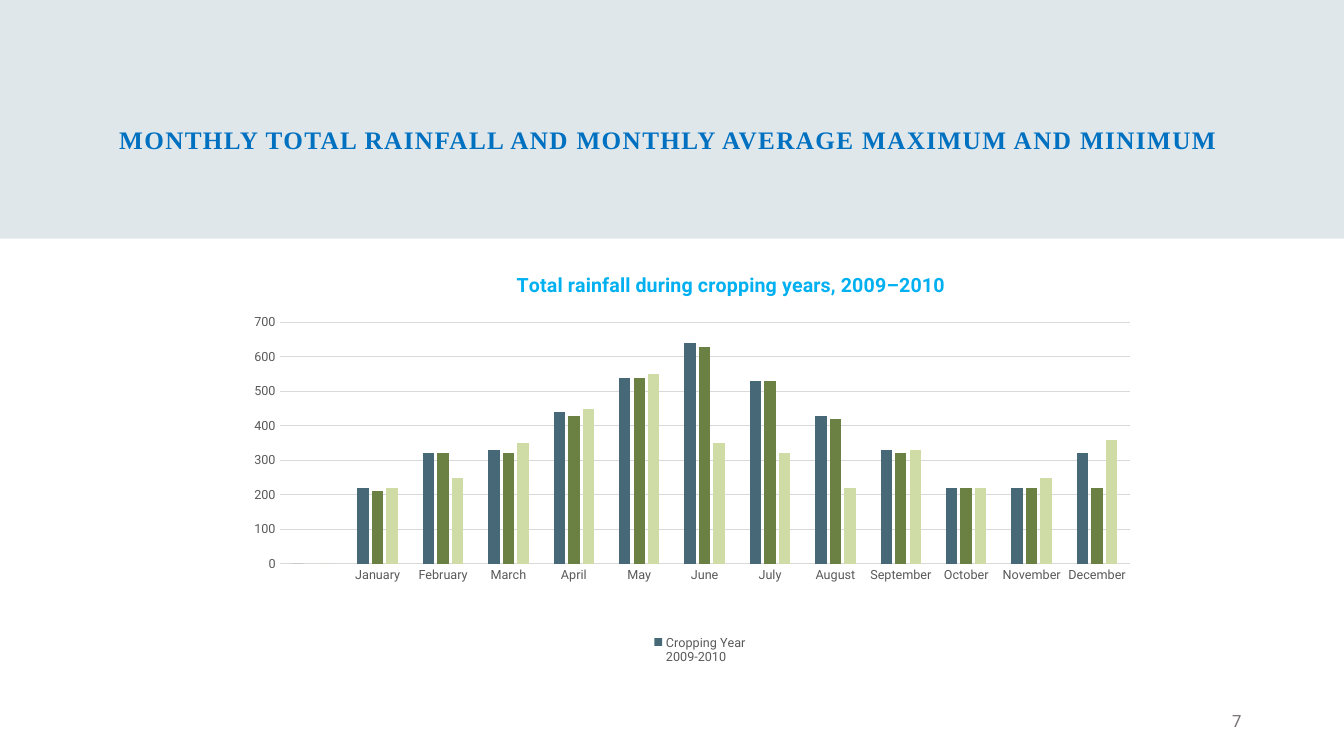
from lxml import etree
from pptx import Presentation
from pptx.chart.data import CategoryChartData as Data
from pptx.dml.color import RGBColor
from pptx.enum.chart import XL_CHART_TYPE as Kind, XL_LEGEND_POSITION as Spot, XL_TICK_MARK as Tick
from pptx.enum.shapes import MSO_SHAPE as Form
from pptx.enum.text import MSO_ANCHOR as Anchor, MSO_AUTO_SIZE as Fit, PP_ALIGN as Align
from pptx.oxml import parse_xml
from pptx.oxml.ns import nsdecls, qn
from pptx.util import Pt

BAND = RGBColor(0xD7, 0xE2, 0xE7)
BLUE = RGBColor(0x00, 0x70, 0xC0)
SKY = RGBColor(0x00, 0xB0, 0xF0)
GRAY = RGBColor(0x76, 0x71, 0x71)
TEXT = RGBColor(0x59, 0x59, 0x59)
GRID = RGBColor(0xD9, 0xD9, 0xD9)
STEEL = RGBColor(0x47, 0x69, 0x77)
OLIVE = RGBColor(0x6B, 0x80, 0x43)
LIME = RGBColor(0xCF, 0xDC, 0xA5)

MONTHS = ["", "January", "February", "March", "April", "May", "June", "July",
          "August", "September", "October", "November", "December"]
RAIN = [
    ("Cropping Year\n2009-2010", STEEL,
     [0, 220, 320, 330, 440, 540, 640, 530, 430, 330, 220, 220, 320]),
    ("Series 2", OLIVE,
     [None, 210, 320, 320, 430, 540, 630, 530, 420, 320, 220, 220, 220]),
    ("Series 3", LIME,
     [0, 220, 250, 350, 450, 550, 350, 320, 220, 330, 220, 250, 360]),
]


def place(part, index, x, y, w=None, h=None, inner=False):
    """Give a chart part a fixed place, in fractions of the chart."""
    for old in part.findall(qn("c:layout")):
        part.remove(old)
    tags = [("layoutTarget", "inner")] if inner else []
    tags += [("xMode", "edge"), ("yMode", "edge"), ("x", x), ("y", y)]
    tags += [(tag, val) for tag, val in (("w", w), ("h", h)) if val]
    body = "".join(f'<c:{tag} val="{val}"/>' for tag, val in tags)
    part.insert(index, parse_xml(
        f'<c:layout {nsdecls("c")}><c:manualLayout>{body}</c:manualLayout></c:layout>'))


class Deck:
    face = "Roboto"

    def __init__(self, wide, high):
        self.show = Presentation()
        self.show.slide_width, self.show.slide_height = Pt(wide), Pt(high)
        self.slide = self.show.slides.add_slide(self.show.slide_layouts[5])
        self.shapes = self.slide.shapes

    def style(self, font, size, color, face=None, bold=False):
        font.name, font.size, font.bold = face or self.face, Pt(size), bold
        font.color.rgb = color

    def letter(self, shape, text, align, anchor, size, color, **look):
        frame = shape.text_frame
        frame.word_wrap, frame.auto_size = True, Fit.NONE
        frame.vertical_anchor = anchor
        frame.text = text
        para = frame.paragraphs[0]
        para.alignment = align
        self.style(para.font, size, color, **look)
        para.runs[0].font._element.set("spc", "100")
        return para

    def band(self, x, y, w, h, color, alpha):
        band = self.shapes.add_shape(Form.RECTANGLE, Pt(x), Pt(y), Pt(w), Pt(h))
        band.shadow.inherit = False
        band.line.fill.background()
        band.fill.solid()
        band.fill.fore_color.rgb = color
        tint = band._element.spPr.find(".//" + qn("a:srgbClr"))
        etree.SubElement(tint, qn("a:alpha"), val=str(alpha * 1000))
        # Keep the band behind the title
        self.shapes._spTree.insert(2, band._element)

    def title(self, text, x, y, w, h):
        head = self.shapes.title
        head.left, head.top, head.width, head.height = Pt(x), Pt(y), Pt(w), Pt(h)
        para = self.letter(head, text, Align.CENTER, Anchor.BOTTOM, 18, BLUE,
                           face="Times New Roman", bold=True)
        para.line_spacing = 0.9

    def label(self, text, x, y, w, h):
        box = self.shapes.add_textbox(Pt(x), Pt(y), Pt(w), Pt(h))
        self.letter(box, text, Align.RIGHT, Anchor.MIDDLE, 12, GRAY)

    def chart(self, head, names, rows, x, y, w, h):
        data = Data()
        data.categories = names
        for name, _, vals in rows:
            data.add_series(name, vals)
        chart = self.shapes.add_chart(
            Kind.COLUMN_CLUSTERED, Pt(x), Pt(y), Pt(w), Pt(h), data).chart
        self.style(chart.font, 10, TEXT)

        # Columns
        plot = chart.plots[0]
        plot.vary_by_categories = False
        plot.gap_width, plot.overlap = 219, -27
        for series, (_, color, _) in zip(plot.series, rows):
            series.format.fill.solid()
            series.format.fill.fore_color.rgb = color
        area = chart._chartSpace.chart.plotArea
        place(area, 0, 0.05, 0.17, 0.91, 0.53, inner=True)

        # Axes
        months, scale = chart.category_axis, chart.value_axis
        for axis in (months, scale):
            axis.major_tick_mark = axis.minor_tick_mark = Tick.NONE
            self.style(axis.tick_labels.font, 9, TEXT)
        scale.minimum_scale, scale.maximum_scale, scale.major_unit = 0, 700, 100
        scale.format.line.fill.background()
        for line in (months.format.line, scale.major_gridlines.format.line):
            line.color.rgb, line.width = GRID, Pt(0.75)

        # Heading
        chart.has_title = True
        top = chart.chart_title
        top.text_frame.text = head
        self.style(top.text_frame.paragraphs[0].font, 14, SKY, bold=True)
        place(top._element, 1, 0.3, 0.05)

        # Legend for the first series only
        chart.has_legend = True
        key = chart.legend
        key.position, key.include_in_layout = Spot.BOTTOM, False
        self.style(key.font, 9, TEXT)
        for i in range(1, len(rows)):
            key._element.insert(i, parse_xml(
                f'<c:legendEntry {nsdecls("c")}><c:idx val="{i}"/>'
                '<c:delete val="1"/></c:legendEntry>'))
        place(key._element, len(rows), 0.44, 0.85, 0.12, 0.08)


def main():
    deck = Deck(960, 540)
    deck.band(0, 0, 960, 170.6, BAND, 80)
    deck.title("MONTHLY TOTAL RAINFALL AND MONTHLY AVERAGE MAXIMUM AND MINIMUM ",
               66, 18.7, 828, 95.8)
    deck.chart("Total rainfall during cropping years, 2009–2010", MONTHS, RAIN,
               166.3, 175, 667.4, 325.4)
    deck.label("7", 678, 500.4, 216, 28.8)
    deck.show.save("out.pptx")


if __name__ == "__main__":
    main()
